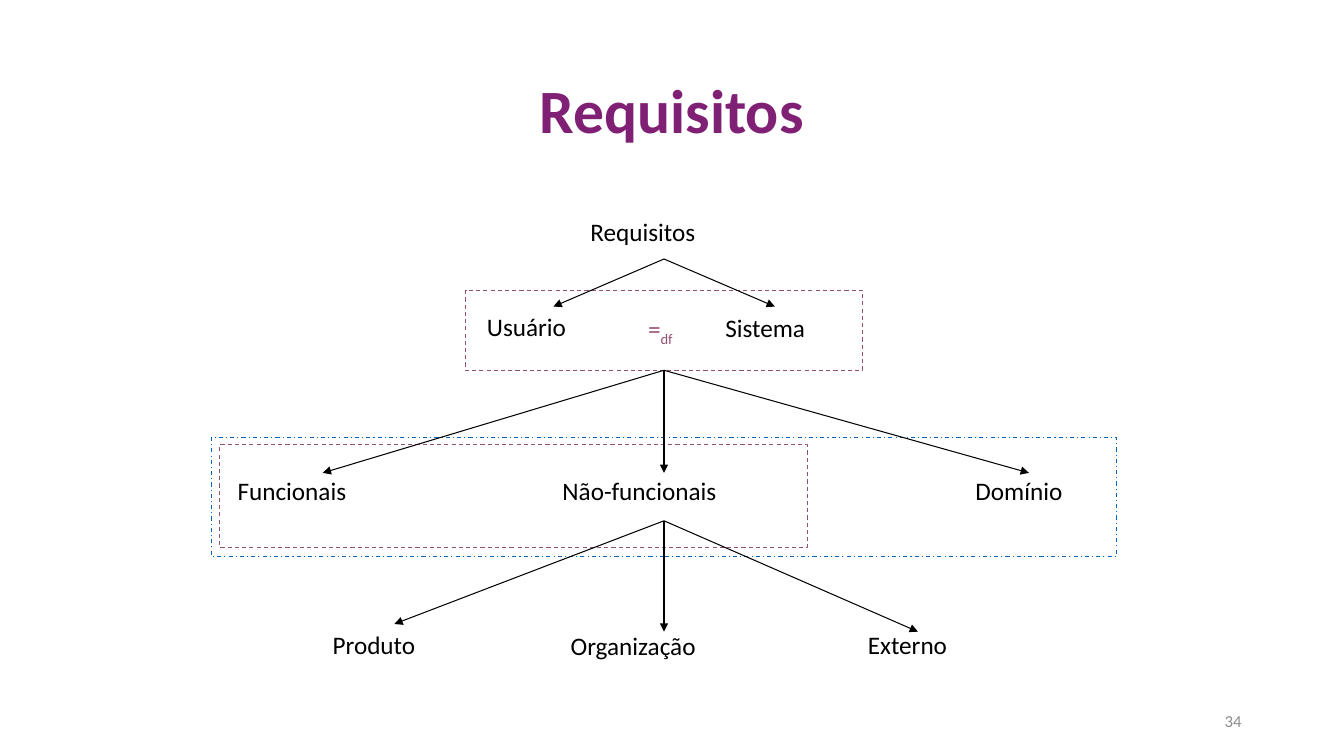
from lxml import etree
from pptx import Presentation
from pptx.dml.color import RGBColor
from pptx.enum import dml, shapes, text
from pptx.oxml import ns
from pptx.util import Pt

BLACK = RGBColor(0x00, 0x00, 0x00)
PURPLE = RGBColor(0x7F, 0x20, 0x75)
PLUM = RGBColor(0x95, 0x4F, 0x72)
BLUE = RGBColor(0x05, 0x63, 0xC1)
GRAY = RGBColor(0x8C, 0x8C, 0x8C)
AXIS = 474.3  # centre line of the tree


def write(para, words, size=18, color=BLACK, bold=False, align=text.PP_ALIGN.LEFT):
    para.alignment = align
    span = para.add_run()
    span.text = words
    span.font.name = "Calibri"
    span.font.size = Pt(size)
    span.font.bold = bold
    span.font.color.rgb = color
    return span


def add_label(left, top, width, words, **style):
    box = page.shapes.add_textbox(Pt(left), Pt(top), Pt(width), Pt(29))
    box.text_frame.word_wrap = False
    box.text_frame.auto_size = text.MSO_AUTO_SIZE.SHAPE_TO_FIT_TEXT
    write(box.text_frame.paragraphs[0], words, **style)
    return box


deck = Presentation()
deck.slide_width, deck.slide_height = Pt(960), Pt(540)
page = deck.slides.add_slide(deck.slide_layouts[5])

# Title
title = page.shapes.title
title.left, title.top, title.width, title.height = Pt(66), Pt(28.75), Pt(828), Pt(104.4)
title.text_frame.auto_size = text.MSO_AUTO_SIZE.NONE
title.text_frame.vertical_anchor = text.MSO_ANCHOR.MIDDLE
heading = title.text_frame.paragraphs[0]
heading.line_spacing = 0.9
write(heading, "Requisitos", size=44, color=PURPLE, bold=True, align=text.PP_ALIGN.CENTER)

# Dashed frames around related requirements, the last one for user and system
for left, top, width, height, color, dash in (
    (157, 317.8, 419.5, 73.6, PLUM, dml.MSO_LINE.DASH),
    (151, 312.25, 646.5, 85, BLUE, dml.MSO_LINE.DASH_DOT),
    (AXIS - 141.8, 207.5, 283.6, 57, PLUM, dml.MSO_LINE.DASH),
):
    frame = page.shapes.add_shape(
        shapes.MSO_SHAPE.RECTANGLE, Pt(left), Pt(top), Pt(width), Pt(height))
    frame.shadow.inherit = False
    frame.fill.background()
    frame.line.color.rgb = color
    frame.line.width = Pt(0.75)
    frame.line.dash_style = dash
user_system = frame

# Arrows fanning out from each level
for start, parent, targets in (
    (185, None, ((395.3, 219), (553.5, 219))),
    (264.5, user_system, ((230.5, 337.8), (AXIS, 337.8), (735, 337.8))),
    (372, None, ((281.7, 445.7), (AXIS, 451.2), (655.7, 451.2))),
):
    for x, y in targets:
        arrow = page.shapes.add_connector(
            shapes.MSO_CONNECTOR.STRAIGHT, Pt(AXIS), Pt(start), Pt(x), Pt(y))
        if parent is not None:
            arrow.begin_connect(parent, 2)
        arrow.line.color.rgb = BLACK
        arrow.line.width = Pt(0.75)
        etree.SubElement(arrow.line._get_or_add_ln(), ns.qn("a:tailEnd"), type="triangle")
        etree.SubElement(arrow._element.spPr, ns.qn("a:effectLst"))

# Labels of the tree
for left, top, width, words in (
    (414.6, 151, 90, "Requisitos"),
    (340.7, 219, 71.5, "Usuário"),
    (511, 219.5, 72, "Sistema"),
    (162.6, 336, 93, "Funcionais"),
    (394.7, 336, 126, "Não-funcionais"),
    (689.7, 336, 77, "Domínio"),
    (230.5, 446, 74, "Produto"),
    (400.5, 446.5, 104.5, "Organização"),
    (612.8, 446, 72, "Externo"),
):
    add_label(left, top, width, words)

# Equal by definition
equals = add_label(455.8, 220.3, 34, "=", color=PLUM)
subscript = write(equals.text_frame.paragraphs[0], "df", color=PLUM)
subscript.font._element.set("baseline", "-25000")

# Slide number
number = page.shapes.add_textbox(Pt(678), Pt(500.5), Pt(216), Pt(28.75))
number.text_frame.word_wrap = True
number.text_frame.vertical_anchor = text.MSO_ANCHOR.MIDDLE
write(number.text_frame.paragraphs[0], "34", size=12, color=GRAY, align=text.PP_ALIGN.RIGHT)

deck.save("out.pptx")
